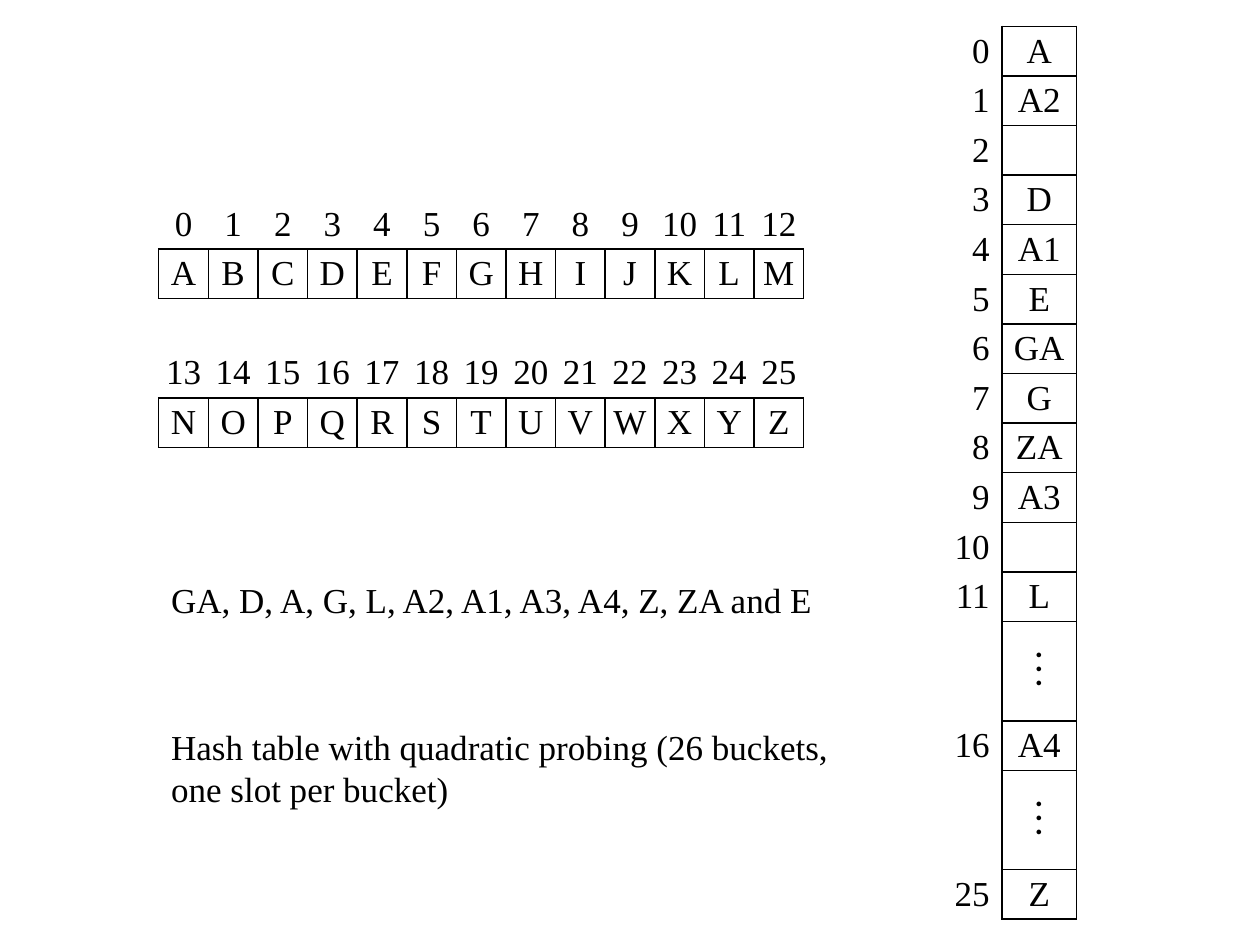
"""Build a slide showing a hash table with quadratic probing."""
from lxml import etree
from pptx import Presentation
from pptx.dml.color import RGBColor
from pptx.enum.text import MSO_ANCHOR, PP_ALIGN
from pptx.oxml.ns import qn
from pptx.util import Pt

CENTER, RIGHT = PP_ALIGN.CENTER, PP_ALIGN.RIGHT
MIDDLE = MSO_ANCHOR.MIDDLE
PX = 3600
CELL = 100
BUCKET_WIDTH = 150
FONT = "Times New Roman"
COLORS = {"ink": "000000"}
NO_STYLE = "{2D5ABB26-0587-4C30-8999-92F81FD0307C}"
ELLIPSIS = "⋮"


def add_grid(left, top, widths, heights):
    frame = slide.shapes.add_table(
        len(heights), len(widths), left * PX, top * PX,
        sum(widths) * PX, sum(heights) * PX)
    table = frame.table
    table.first_row = table.horz_banding = False
    table._tbl.tblPr.find(qn("a:tableStyleId")).text = NO_STYLE
    for column, width in zip(table.columns, widths):
        column.width = width * PX
    for row, height in zip(table.rows, heights):
        row.height = height * PX
    return table


def fill_cell(cell, text, alignment=CENTER, margin=0, boxed=False):
    cell.margin_left = cell.margin_right = margin * PX
    cell.margin_top = cell.margin_bottom = 0
    cell.vertical_anchor = MIDDLE
    if boxed:
        properties = cell._tc.get_or_add_tcPr()
        for side in ("a:lnL", "a:lnR", "a:lnT", "a:lnB"):
            line = etree.SubElement(properties, qn(side), w=str(Pt(1)))
            solid = etree.SubElement(line, qn("a:solidFill"))
            etree.SubElement(solid, qn("a:srgbClr"), val=COLORS["ink"])
    cell.fill.background()
    paragraph = cell.text_frame.paragraphs[0]
    paragraph.text = text
    paragraph.alignment = alignment
    paragraph.font.name = FONT
    paragraph.font.size = Pt(24 if text == ELLIPSIS else 20)
    paragraph.font.color.rgb = RGBColor.from_string(COLORS["ink"])


presentation = Presentation()
presentation.slide_width = 2540 * PX
presentation.slide_height = 1905 * PX
slide = presentation.slides.add_slide(presentation.slide_layouts[6])

text_box = slide.shapes.add_textbox(320 * PX, 1153 * PX, 1400 * PX, 500 * PX)
text_frame = text_box.text_frame
text_frame.word_wrap = True
messages = [
    ("GA, D, A, G, L, A2, A1, A3, A4, Z, ZA and E", 0),
    ("Hash table with quadratic probing (26 buckets, one slot per bucket)", 60),
]
for index, (message, gap) in enumerate(messages):
    paragraph = text_frame.add_paragraph() if index else text_frame.paragraphs[0]
    paragraph.text = message
    paragraph.space_before = Pt(gap)
    paragraph.line_spacing = Pt(24)
    paragraph.font.name = FONT
    paragraph.font.size = Pt(20)
    paragraph.font.color.rgb = RGBColor.from_string(COLORS["ink"])

buckets = [
    ("0", "A"), ("1", "A2"), ("2", ""), ("3", "D"), ("4", "A1"), ("5", "E"),
    ("6", "GA"), ("7", "G"), ("8", "ZA"), ("9", "A3"), ("10", ""), ("11", "L"),
    ("", ELLIPSIS), ("16", "A4"), ("", ELLIPSIS), ("25", "Z"),
]
bucket_heights = [2 * CELL if key == ELLIPSIS else CELL for _, key in buckets]
bucket_table = add_grid(1870, 53, [BUCKET_WIDTH] * 2, bucket_heights)
for row, (number, key) in enumerate(buckets):
    fill_cell(bucket_table.cell(row, 0), number, RIGHT, margin=25)
    fill_cell(bucket_table.cell(row, 1), key, margin=20, boxed=True)

for line_index, letters in enumerate(("ABCDEFGHIJKLM", "NOPQRSTUVWXYZ")):
    count = len(letters)
    letter_table = add_grid(320, 402 + line_index * 3 * CELL, [CELL] * count, [CELL] * 2)
    for column, letter in enumerate(letters):
        fill_cell(letter_table.cell(0, column), str(line_index * count + column))
        fill_cell(letter_table.cell(1, column), letter, boxed=True)

presentation.save("out.pptx")
